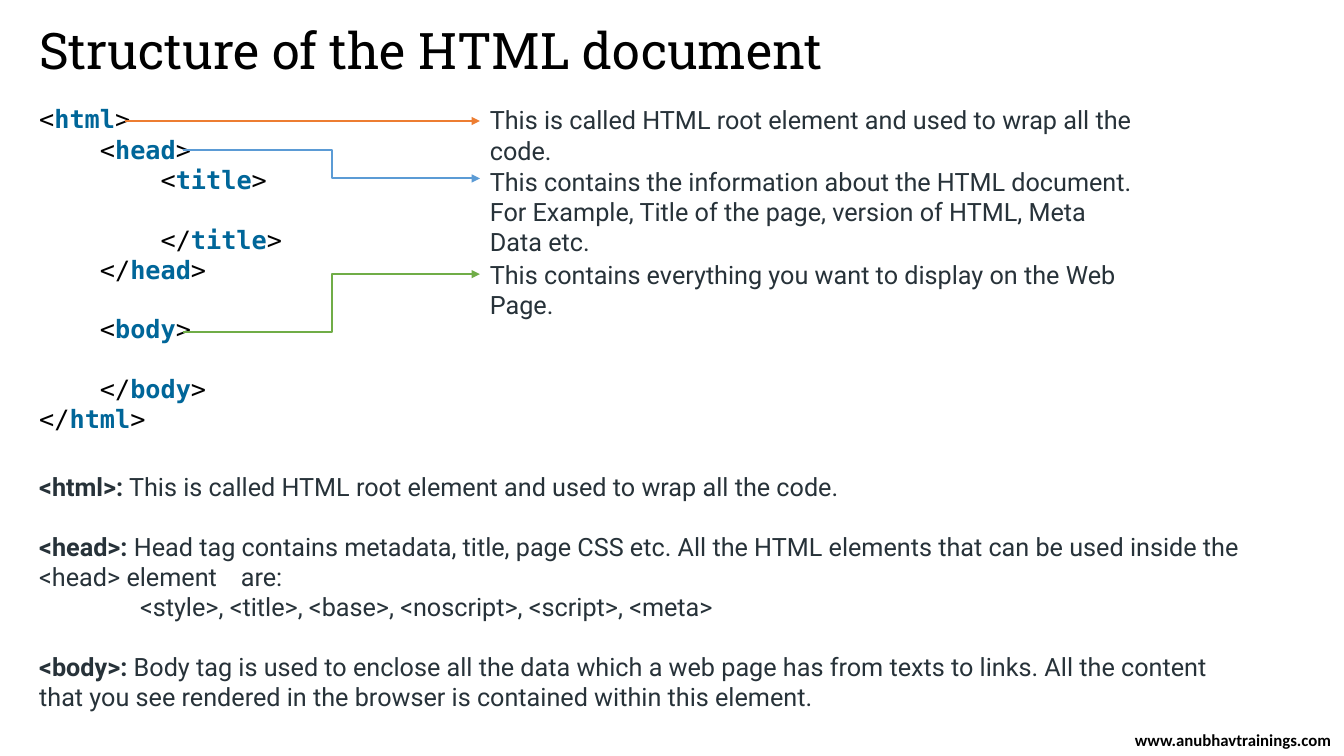
from dataclasses import dataclass

from lxml import etree
from pptx import Presentation
from pptx.dml.color import RGBColor
from pptx.enum.shapes import MSO_CONNECTOR
from pptx.enum.text import MSO_ANCHOR, PP_ALIGN
from pptx.oxml.ns import qn
from pptx.util import Inches, Pt

LINE, ELBOW = MSO_CONNECTOR.STRAIGHT, MSO_CONNECTOR.ELBOW
TOP, MID = MSO_ANCHOR.TOP, MSO_ANCHOR.MIDDLE
LEFT, MIDST = PP_ALIGN.LEFT, PP_ALIGN.CENTER

HUES = {"black": "000000", "text": "273239", "tag": "006699",
        "root": "ED7D31", "head": "5B9BD5", "body": "70AD47"}
MONO, SANS, SLAB, FOOT = "DejaVu Sans Mono", "Roboto", "Roboto Slab", "Calibri"

# Grid of 100 columns by 100 rows
WIDE, HIGH = Inches(13.33), Inches(7.5)
EDGE, NOTE = 2.18, 35.71  # left columns of the main text and of the notes
BLANK = 21  # points in one empty line


@dataclass
class Bit:
    text: str
    hue: str = "text"
    bold: bool = False


@dataclass
class Para:
    bits: list[Bit]
    gap: float = 0
    inset: float = 0  # inches


@dataclass
class Tag:
    depth: int
    mark: str
    name: str
    gap: float = 0


@dataclass
class Note:
    text: str
    row: float
    rows: float
    start: tuple[float, float]
    end: float
    hue: str
    kind: int = ELBOW


TAGS = [
    Tag(0, "<", "html"), Tag(1, "<", "head"), Tag(2, "<", "title"),
    Tag(2, "</", "title", BLANK), Tag(1, "</", "head"),
    Tag(1, "<", "body", BLANK), Tag(1, "</", "body", BLANK),
    Tag(0, "</", "html"),
]
NOTES = [
    Note("This is called HTML root element and used to wrap all the code.",
         13.2, 5.33, (9.3, 16), 16, "root", LINE),
    Note("This contains the information about the HTML document. For Example, "
         "Title of the page, version of HTML, Meta Data etc.",
         21.33, 9.47, (13.65, 19.87), 23.6, "head"),
    Note("This contains everything you want to display on the Web Page.",
         33.6, 5.33, (13.65, 43.87), 36.27, "body"),
]
FACTS = [
    Para([Bit("<html>:", bold=True),
          Bit(" This is called HTML root element and used to wrap all the code.")]),
    Para([Bit("<head>:", bold=True),
          Bit(" Head tag contains metadata, title, page CSS etc. All the HTML "
              "elements that can be used inside the <head> element\tare:")], BLANK),
    Para([Bit("<style>, <title>, <base>, <noscript>, <script>, <meta>")], inset=1),
    Para([Bit("<body>:", bold=True),
          Bit(" Body tag is used to enclose all the data which a web page has from "
              "texts to links. All the content that you see rendered in the browser "
              "is contained within this element.")], BLANK),
]

deck = Presentation()
deck.slide_width, deck.slide_height = WIDE, HIGH
slide = deck.slides.add_slide(deck.slide_layouts[6])


def col(n: float) -> int:
    return round(WIDE * n / 100)


def row(n: float) -> int:
    return round(HIGH * n / 100)


def write(box: tuple[float, float, float, float], paras: list[Para], face: str,
          size: float = 18, frame: dict | None = None, form: dict | None = None) -> None:
    x, y, w, h = box
    area = slide.shapes.add_textbox(col(x), row(y), col(w), row(h)).text_frame
    for key, value in ({"word_wrap": True, "vertical_anchor": TOP} | (frame or {})).items():
        setattr(area, key, value)
    for i, para in enumerate(paras):
        line = area.add_paragraph() if i else area.paragraphs[0]
        if para.inset:
            line._p.get_or_add_pPr().set("marL", str(Inches(para.inset)))
        look = {"alignment": LEFT, "space_before": Pt(para.gap)} | (form or {})
        for key, value in look.items():
            setattr(line, key, value)
        for bit in para.bits:
            run = line.add_run()
            run.text = bit.text
            style = {"name": face, "size": Pt(size), "bold": bit.bold}
            for key, value in style.items():
                setattr(run.font, key, value)
            run.font.color.rgb = RGBColor.from_string(HUES[bit.hue])


def link(note: Note) -> None:
    x, y = note.start
    wire = slide.shapes.add_connector(note.kind, col(x), row(y), col(NOTE), row(note.end))
    wire.line.color.rgb = RGBColor.from_string(HUES[note.hue])
    wire.line.width = Pt(1.5)
    props = wire._element.spPr
    etree.SubElement(props.find(qn("a:ln")), qn("a:tailEnd"), type="triangle")
    etree.SubElement(props, qn("a:effectLst"))


def code(tag: Tag) -> Para:
    lead = " " * 4 * tag.depth
    return Para([Bit(lead + tag.mark, "black"), Bit(tag.name, "tag", True),
                 Bit(">", "black")], tag.gap)


# Title and footer
write((EDGE, 2.8, 91.6, 8.67), [Para([Bit("Structure of the HTML document", "black")])],
      SLAB, 36, form={"line_spacing": 0.9})
write((83.5, 96.8, 16.5, 2.13), [Para([Bit("www.anubhavtrainings.com", "black", True)])],
      FOOT, 12, {"vertical_anchor": MID, "margin_left": 0, "margin_right": 0,
                 "margin_top": 0, "margin_bottom": 0}, {"alignment": MIDST})

# Code with its notes
write((EDGE, 13.07, 20.33, 45.73), [code(tag) for tag in TAGS], MONO)
for note in NOTES:
    write((NOTE, note.row, 50.04, note.rows), [Para([Bit(note.text)])], SANS)
    link(note)

# Explanation of the tags
write((EDGE, 61.73, 91.97, 33.6), FACTS, SANS)

deck.save("out.pptx")
